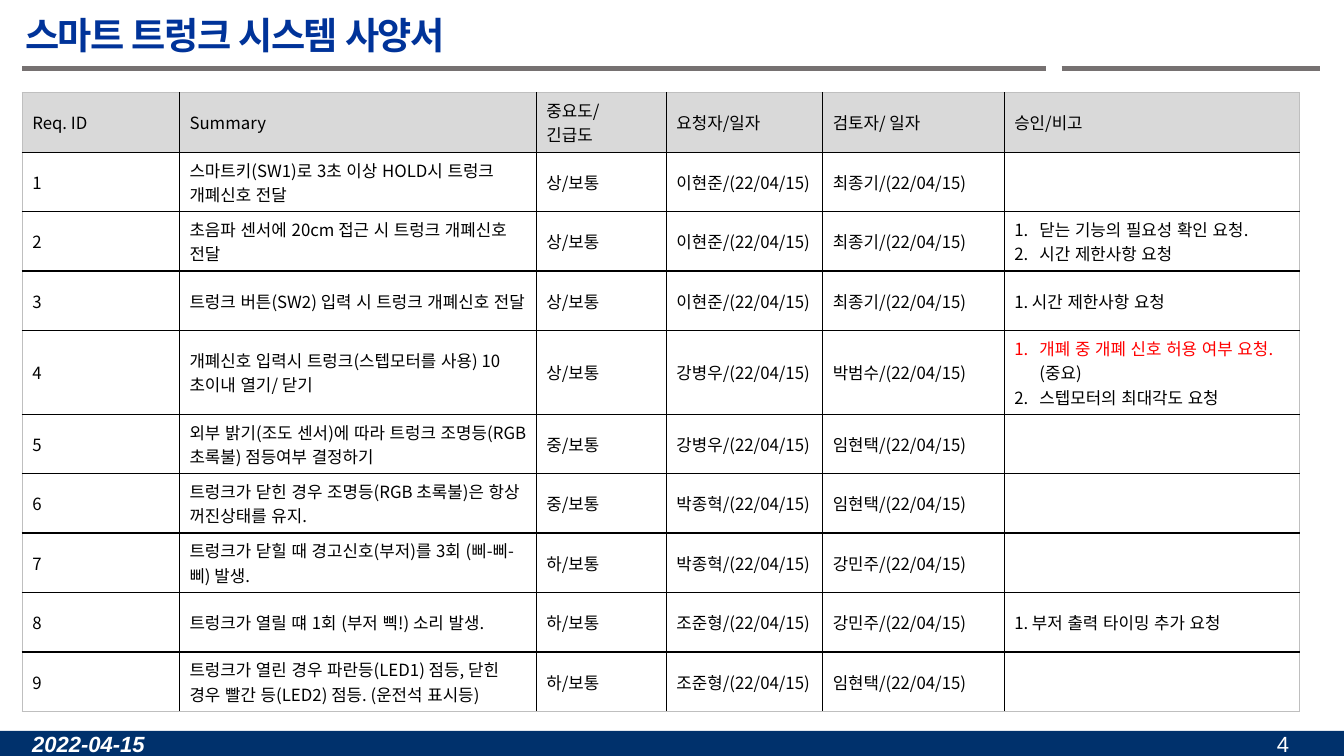
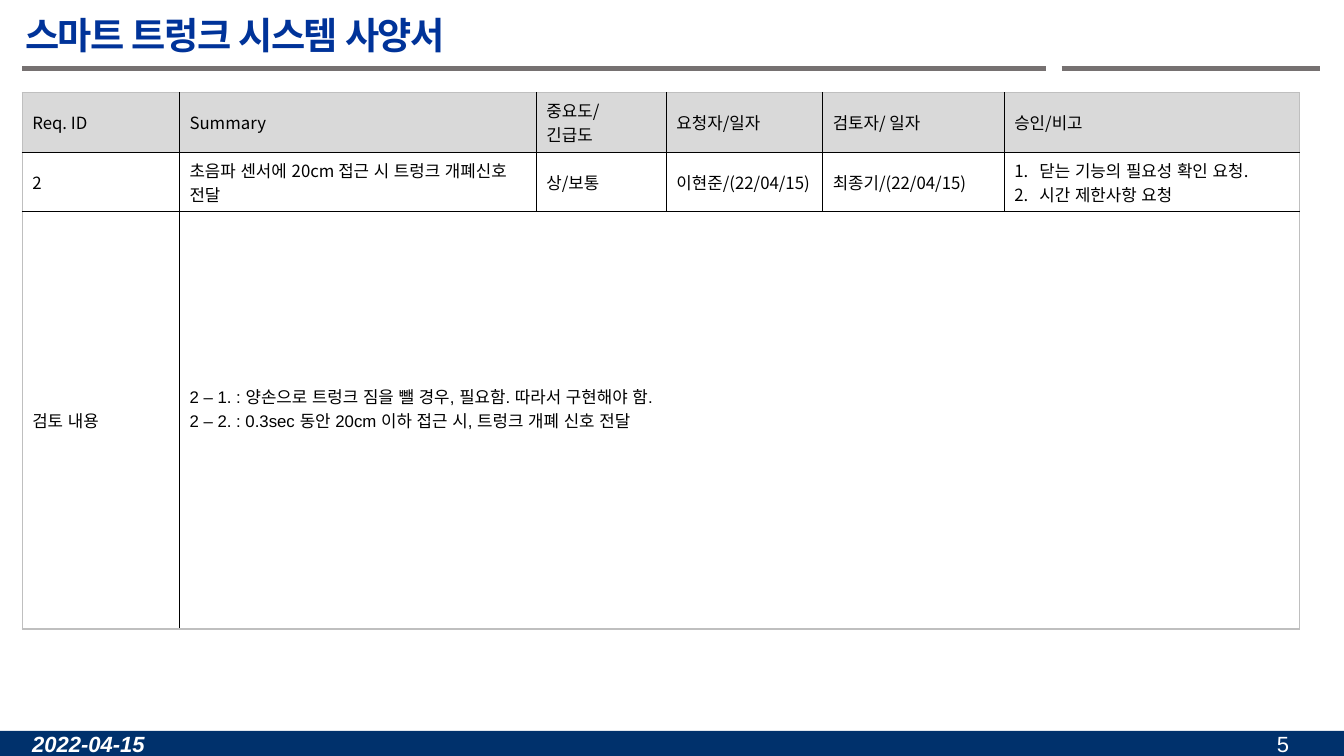
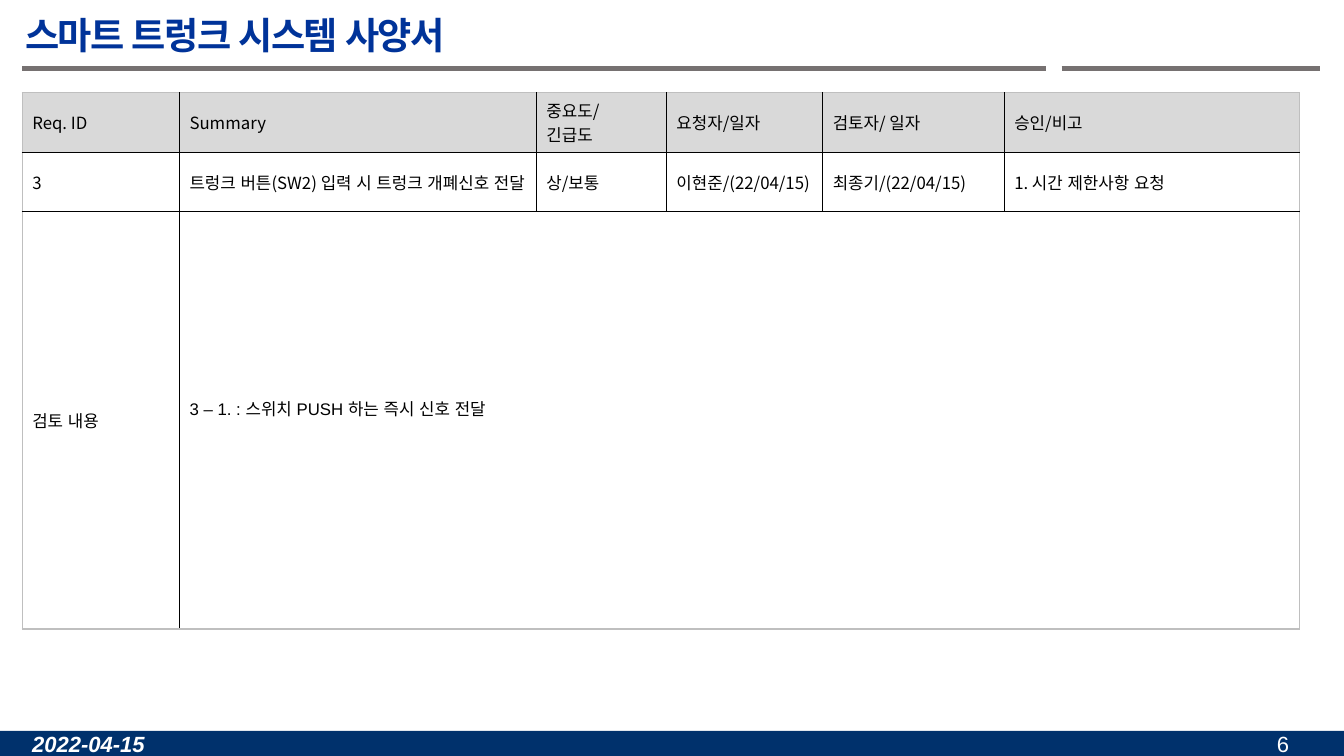
from dataclasses import dataclass

from lxml import etree
from pptx import Presentation
from pptx.dml.color import RGBColor
from pptx.enum.lang import MSO_LANGUAGE_ID
from pptx.enum.shapes import MSO_CONNECTOR, MSO_SHAPE
from pptx.enum.text import MSO_ANCHOR, PP_ALIGN
from pptx.oxml.ns import qn
from pptx.util import Inches, Pt

STRAIGHT = MSO_CONNECTOR.STRAIGHT
RECTANGLE = MSO_SHAPE.RECTANGLE
MIDDLE = MSO_ANCHOR.MIDDLE
LEFT, CENTER = PP_ALIGN.LEFT, PP_ALIGN.CENTER
KOREAN_LANGUAGE = MSO_LANGUAGE_ID.KOREAN

# Shared look
NAVY, GRAY, BLUE, OUTLINE = "00316C", "767171", "003399", "0066FF"
BLACK, WHITE, RED = "000000", "FFFFFF", "FF0000"
HEADER_FILL, FRAME = "D9D9D9", "BFBFBF"
KOREAN, LATIN = "Noto Sans CJK KR", "Arial"
TITLE_FORMAT = {"name": KOREAN, "size": Pt(26.6), "bold": True}
DATE_FORMAT = {"name": LATIN, "size": Pt(15.7), "bold": True, "italic": True}
NUMBER_FORMAT = {"name": LATIN, "size": Pt(15.7)}
CELL_FORMAT = {"name": KOREAN, "size": Pt(12)}
REVIEW_FORMAT = {"name": LATIN, "size": Pt(12)}

# Shared measures, in inches
SLIDE_WIDTH, SLIDE_HEIGHT = 13.33, 7.5
BAND_TOP, BAND_HEIGHT = 7.25, 0.25
RULE_Y = 0.68
RULES = ((0.22, 10.37), (10.53, 13.09))
TABLE_LEFT, TABLE_TOP = 0.22, 0.92
COLUMNS = (1.56, 3.54, 1.29, 1.55, 1.8, 2.93)
ROW_HEIGHT, TALL_ROW_HEIGHT, REVIEW_HEIGHT = 0.59, 0.83, 4.14
REVIEW_BOTTOM_MARGIN = 0.29
NUMBER_INDENT = 0.25


@dataclass(frozen=True)
class Span:
    text: str
    color: str = BLACK


@dataclass(frozen=True)
class Para:
    spans: tuple[Span, ...]
    numbered: bool = False


Cell = tuple[Para, ...]


@dataclass(frozen=True)
class Requirement:
    summary: str
    priority: str
    requester: str
    reviewer: str
    remarks: Cell = ()
    height: float = ROW_HEIGHT


@dataclass(frozen=True)
class Row:
    cells: tuple[Cell, ...]
    height: float = ROW_HEIGHT


def plain(*lines: str) -> Cell:
    return tuple(Para((Span(line),)) for line in lines)


def numbered(*items: tuple[Span, ...]) -> Cell:
    return tuple(Para(spans, numbered=True) for spans in items)


# Wording
TITLE = "스마트 트렁크 시스템 사양서"
DATE = "2022-04-15"
SIGNED = "/(22/04/15)"
REVIEW_LABEL = "검토 내용"
HEADER = Row((plain("Req. ID"), plain("Summary"), plain("중요도/", "긴급도"),
              plain("요청자/일자"), plain("검토자/ 일자"), plain("승인/비고")))
REQUIREMENTS = (
    Requirement("스마트키(SW1)로 3초 이상 HOLD시 트렁크 개폐신호 전달",
                "상/보통", "이현준", "최종기"),
    Requirement("초음파 센서에 20cm 접근 시 트렁크 개폐신호 전달",
                "상/보통", "이현준", "최종기",
                numbered((Span("닫는 기능의 필요성 확인 요청."),),
                         (Span("시간 제한사항 요청"),))),
    Requirement("트렁크 버튼(SW2) 입력 시 트렁크 개폐신호 전달",
                "상/보통", "이현준", "최종기", plain("1. 시간 제한사항 요청")),
    Requirement("개폐신호 입력시 트렁크(스텝모터를 사용) 10초이내 열기/ 닫기",
                "상/보통", "강병우", "박범수",
                numbered((Span("개폐 중 개폐 신호 허용 여부 요청.", RED), Span("(중요)")),
                         (Span("스텝모터의 최대각도 요청"),)),
                TALL_ROW_HEIGHT),
    Requirement("외부 밝기(조도 센서)에 따라 트렁크 조명등(RGB 초록불) 점등여부 결정하기",
                "중/보통", "강병우", "임현택"),
    Requirement("트렁크가 닫힌 경우 조명등(RGB 초록불)은 항상 꺼진상태를 유지.",
                "중/보통", "박종혁", "임현택"),
    Requirement("트렁크가 닫힐 때 경고신호(부저)를 3회 (삐-삐-삐) 발생.",
                "하/보통", "박종혁", "강민주"),
    Requirement("트렁크가 열릴 떄 1회 (부저 삑!) 소리 발생.",
                "하/보통", "조준형", "강민주", plain("1. 부저 출력 타이밍 추가 요청")),
    Requirement("트렁크가 열린 경우 파란등(LED1) 점등, 닫힌 경우 빨간 등(LED2) 점등. (운전석 표시등)",
                "하/보통", "조준형", "임현택"),
)
REVIEWS = {
    2: plain("2 – 1. : 양손으로 트렁크 짐을 뺄 경우, 필요함. 따라서 구현해야 함.",
             "2 – 2. : 0.3sec 동안 20cm 이하 접근 시, 트렁크 개폐 신호 전달"),
    3: plain("3 – 1. : 스위치 PUSH 하는 즉시 신호 전달"),
}


def rgb(color: str) -> RGBColor:
    return RGBColor.from_string(color)


def add_solid_fill(parent, color: str):
    fill = etree.SubElement(parent, qn("a:solidFill"))
    return etree.SubElement(fill, qn("a:srgbClr"), val=color)


# Text
def add_span(para, span: Span, style: dict):
    run = para.add_run()
    run.text = span.text
    for name, value in style.items():
        setattr(run.font, name, value)
    run.font.language_id = KOREAN_LANGUAGE
    run.font.color.rgb = rgb(span.color)
    latin = run.font._element.find(qn("a:latin"))
    east_asian = etree.Element(qn("a:ea"), typeface=KOREAN)
    latin.addnext(east_asian)
    return run


def number_para(para) -> None:
    properties = para._p.get_or_add_pPr()
    properties.set("marL", str(Inches(NUMBER_INDENT)))
    properties.set("indent", str(-Inches(NUMBER_INDENT)))
    etree.SubElement(properties, qn("a:buFont"), typeface="+mj-lt")
    etree.SubElement(properties, qn("a:buAutoNum"), type="arabicPeriod")


def fill_text(frame, content: Cell, style: dict) -> None:
    for index, item in enumerate(content):
        para = frame.add_paragraph() if index else frame.paragraphs[0]
        if item.numbered:
            number_para(para)
        for span in item.spans:
            add_span(para, span, style)


def add_text(page, area: tuple[float, ...], span: Span, style: dict, align=LEFT):
    box = page.shapes.add_textbox(*(Inches(length) for length in area))
    frame = box.text_frame
    frame.word_wrap = True
    frame.vertical_anchor = MIDDLE
    para = frame.paragraphs[0]
    para.alignment = align
    return frame, add_span(para, span, style)


# Title, rules, and footer band
def add_title(page) -> None:
    frame, run = add_text(page, (0.21, 0.07, 12.88, 0.61), Span(TITLE, BLUE), TITLE_FORMAT)
    for side in ("left", "top", "right", "bottom"):
        setattr(frame, f"margin_{side}", Inches(0.04))
    frame.paragraphs[0].line_spacing = 0.9
    properties = run.font._element
    properties.set("spc", "-120")
    outline = etree.Element(qn("a:ln"), w=str(Pt(0.5)))
    color = add_solid_fill(outline, OUTLINE)
    etree.SubElement(color, qn("a:alpha"), val="10000")
    properties.insert(0, outline)


def add_page(deck, number: int):
    page = deck.slides.add_slide(deck.slide_layouts[6])
    band = page.shapes.add_shape(RECTANGLE, 0, Inches(BAND_TOP),
                                 Inches(SLIDE_WIDTH), Inches(BAND_HEIGHT))
    band.shadow.inherit = False
    band.fill.solid()
    band.fill.fore_color.rgb = rgb(NAVY)
    band.line.fill.background()
    for start, end in RULES:
        rule = page.shapes.add_connector(STRAIGHT, Inches(start), Inches(RULE_Y),
                                         Inches(end), Inches(RULE_Y))
        rule.line.color.rgb = rgb(GRAY)
        rule.line.width = Pt(3)
        etree.SubElement(rule._element.spPr, qn("a:effectLst"))
    add_title(page)
    add_text(page, (0.22, BAND_TOP, 1.85, BAND_HEIGHT), Span(DATE, WHITE), DATE_FORMAT)
    add_text(page, (12.42, BAND_TOP, 0.61, BAND_HEIGHT), Span(str(number), WHITE),
             NUMBER_FORMAT, CENTER)
    return page


# Requirement table
def requirement_row(number: int) -> Row:
    item = REQUIREMENTS[number - 1]
    return Row((plain(str(number)), plain(item.summary), plain(item.priority),
                plain(item.requester + SIGNED), plain(item.reviewer + SIGNED), item.remarks),
               item.height)


def set_borders(cell, outer: dict[str, bool]) -> None:
    properties = cell._tc.get_or_add_tcPr()
    for index, (side, is_outer) in enumerate(outer.items()):
        line = etree.Element(qn(f"a:ln{side}"), w=str(Pt(1)))
        add_solid_fill(line, FRAME if is_outer else BLACK)
        properties.insert(index, line)


def add_requirement_table(page, rows: list[Row], review: Cell = ()) -> None:
    if review:
        rows = [*rows, Row((plain(REVIEW_LABEL), review, (), (), (), ()), REVIEW_HEIGHT)]
    last_row, last_column = len(rows) - 1, len(COLUMNS) - 1
    frame = page.shapes.add_table(len(rows), len(COLUMNS), Inches(TABLE_LEFT), Inches(TABLE_TOP),
                                  Inches(sum(COLUMNS)), Inches(sum(row.height for row in rows)))
    table = frame.table
    table.first_row = table.horz_banding = False
    for column, width in zip(table.columns, COLUMNS):
        column.width = Inches(width)
    for row_index, row in enumerate(rows):
        table.rows[row_index].height = Inches(row.height)
        for column_index, content in enumerate(row.cells):
            cell = table.cell(row_index, column_index)
            cell.vertical_anchor = MIDDLE
            if row_index == 0:
                cell.fill.solid()
                cell.fill.fore_color.rgb = rgb(HEADER_FILL)
            else:
                cell.fill.background()
            is_review = bool(review) and content is review
            set_borders(cell, {"L": column_index == 0,
                               "R": is_review or column_index == last_column,
                               "T": row_index == 0, "B": row_index == last_row})
            fill_text(cell.text_frame, content, REVIEW_FORMAT if is_review else CELL_FORMAT)
    if review:
        review_cell = table.cell(last_row, 1)
        review_cell.merge(table.cell(last_row, last_column))
        review_cell.margin_bottom = Inches(REVIEW_BOTTOM_MARGIN)


def main() -> None:
    deck = Presentation()
    deck.slide_width, deck.slide_height = Inches(SLIDE_WIDTH), Inches(SLIDE_HEIGHT)

    # Overview
    every_row = [requirement_row(number) for number in range(1, len(REQUIREMENTS) + 1)]
    add_requirement_table(add_page(deck, 4), [HEADER, *every_row])

    # Reviews of single requirements
    for page_number, (number, review) in enumerate(REVIEWS.items(), start=5):
        page = add_page(deck, page_number)
        add_requirement_table(page, [HEADER, requirement_row(number)], review)

    deck.save("out.pptx")


if __name__ == "__main__":
    main()
